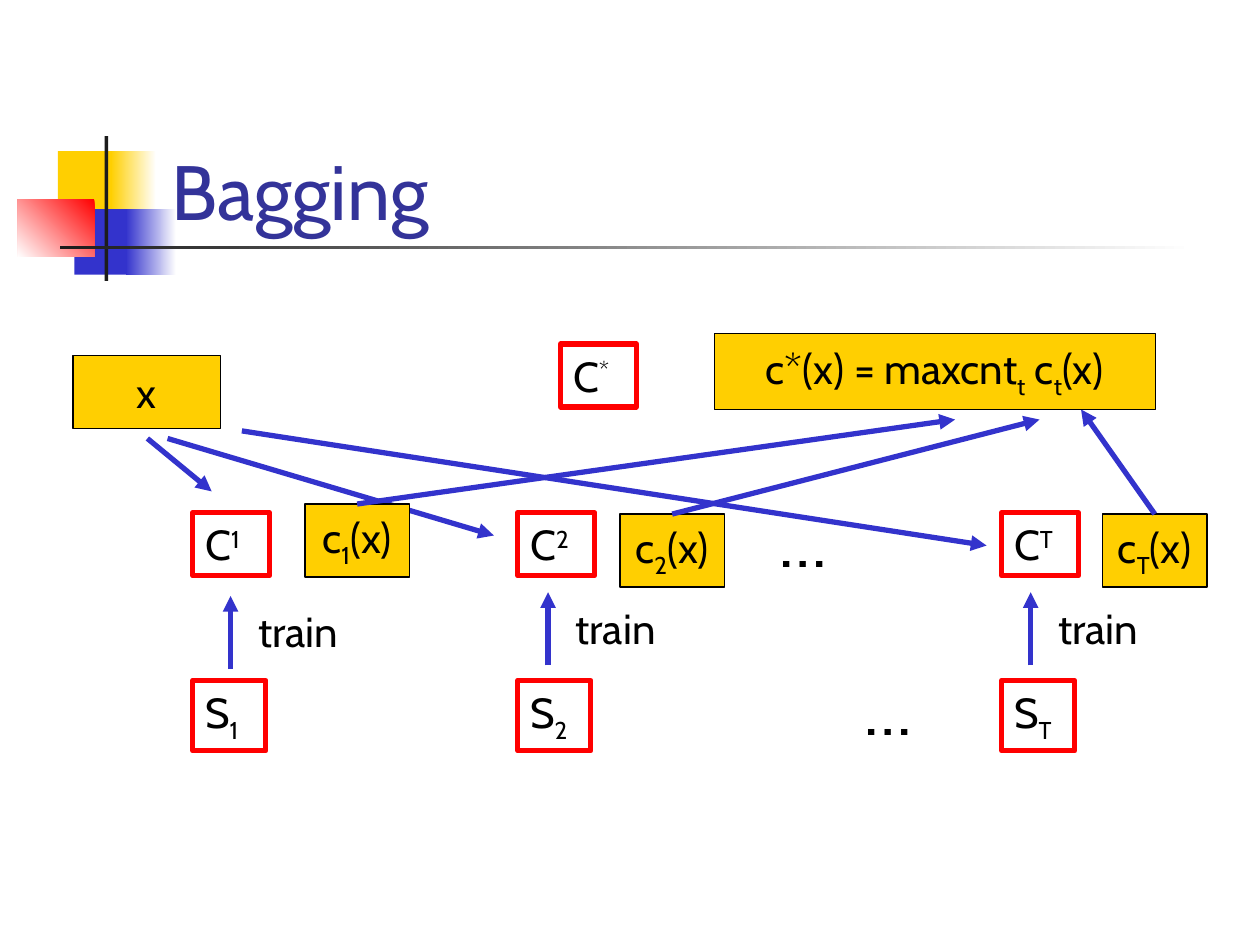
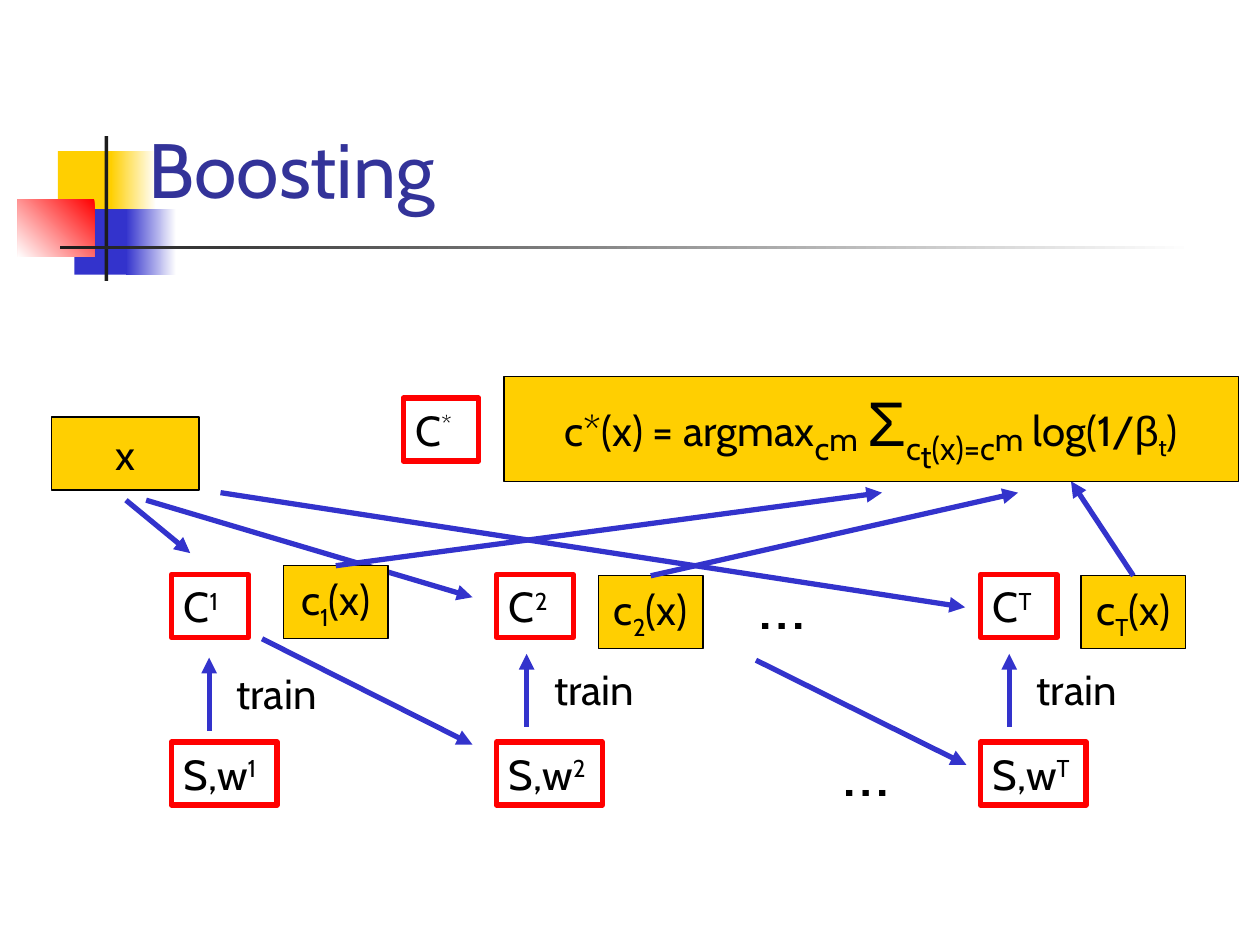
from pptx import Presentation
from pptx.dml.color import RGBColor
from pptx.enum.shapes import MSO_CONNECTOR, MSO_SHAPE
from pptx.enum.text import MSO_ANCHOR, MSO_AUTO_SIZE, PP_ALIGN
from pptx.oxml.ns import qn
from pptx.util import Inches, Pt
from lxml.etree import SubElement

WHITE = RGBColor(0xFF, 0xFF, 0xFF)
BLACK = RGBColor(0, 0, 0)
YELLOW = RGBColor(0xFF, 0xCF, 0x01)
BLUE = RGBColor(0x33, 0x33, 0xCC)
RED = RGBColor(0xFF, 0, 0)
DARK = RGBColor(0x1C, 0x1C, 0x1C)
TITLE = RGBColor(0x33, 0x33, 0x99)

FONT, SYMBOL_FONT = "Cabin", "Arial"
SUP, SUB = 30, -25

BAND = [
    ((0.46, 1.2, 0.48, 0.52), (YELLOW,), 0),
    ((0.88, 1.2, 0.36, 0.52), (WHITE, YELLOW), 180),
    ((0.59, 1.66, 0.46, 0.52), (BLUE,), 0),
    ((1, 1.66, 0.4, 0.52), (WHITE, BLUE), 180),
    ((0.14, 1.58, 0.61, 0.46), (RED, WHITE), 225),
    ((0.83, 1.08, 0.03, 1.15), (DARK,), 0),
    ((0.48, 1.95, 9, 0.03), (WHITE, DARK), 180),
]

ROUNDS = [
    dict(name="1", model_x=1.53, train_x=1.83, train_y=4.73, vote=(2.42, 4)),
    dict(name="2", model_x=4.11, train_x=4.35, train_y=4.7, vote=(4.92, 4.08)),
    dict(name="T", model_x=7.95, train_x=8.18, train_y=4.7, vote=(8.75, 4.08)),
]
INPUT_ARROWS = [
    ((1.17, 3.48), (1.68, 3.9)),
    ((1.33, 3.48), (3.92, 4.25)),
    ((1.92, 3.42), (7.83, 4.33)),
]
DOTS = [(6.76, 5.23), (6.09, 3.9)]

SLIDES = [
    dict(
        title="Bagging", title_at=(1.26, 0.67), offset=(0, 0),
        sample=("S", SUB), sample_size=(0.58, 0.56),
        final_at=(4.45, 2.73), decision_at=(5.67, 2.65, 3.5, 0.6),
        decision=[("c*(x) = maxcnt",), ("t", SUB), (" c",), ("t", SUB), ("(x)",)],
        vote_ends=[(7.58, 3.33), (8.25, 3.33), (8.58, 3.25)],
        reweight=[],
    ),
    dict(
        title="Boosting", title_at=(1.08, 0.5), offset=(-0.17, 0.49),
        sample=("S,w", SUP), sample_size=(0.84, 0.5),
        final_at=(3.2, 3.16), decision_at=(4, 2.99, 5.83, 0.83),
        decision=[
            ("c*(x) = argmax",), ("c", SUB, 32), ("m", -10, 32), (" ",),
            ("Σ", 0, 36, SYMBOL_FONT), ("c", SUB, 32), ("t", -40, 32),
            ("(x)=c", SUB, 32), ("m", -10, 32), (" log(1/",),
            ("β", 0, 24, SYMBOL_FONT), ("t", SUB), (")",),
        ],
        vote_ends=[(7, 3.91), (8.08, 3.91), (8.5, 3.82)],
        reweight=[((2.08, 5.07), (3.75, 5.91)), ((6, 5.24), (7.67, 6.07))],
    ),
]


def add_run(p, text, baseline=0, size=24, font=FONT, color=BLACK):
    r = p.add_run()
    r.text = text
    r.font.size = Pt(size)
    r.font.name = font
    r.font.color.rgb = color
    if baseline:
        r.font._element.set("baseline", str(baseline * 1000))


def set_text(sp, runs, anchor=MSO_ANCHOR.TOP, align=PP_ALIGN.LEFT,
             wrap=False, grow=True):
    tf = sp.text_frame
    tf.word_wrap = wrap
    tf.auto_size = MSO_AUTO_SIZE.SHAPE_TO_FIT_TEXT if grow else MSO_AUTO_SIZE.NONE
    tf.vertical_anchor = anchor
    p = tf.paragraphs[0]
    p.alignment = align
    for run in runs:
        add_run(p, *run)


def add_rect(s, box, colors=(), angle=0, line=None, width=0.75):
    sp = s.shapes.add_shape(MSO_SHAPE.RECTANGLE, *map(Inches, box))
    sp.shadow.inherit = False
    if len(colors) == 2:
        sp.fill.gradient()
        sp.fill.gradient_angle = angle
        for stop, color in zip(sp.fill.gradient_stops, colors):
            stop.color.rgb = color
    elif colors:
        sp.fill.solid()
        sp.fill.fore_color.rgb = colors[0]
    else:
        sp.fill.background()
    if line is None:
        sp.line.fill.background()
    else:
        sp.line.color.rgb = line
        sp.line.width = Pt(width)
    return sp


def add_yellow_box(s, box, runs):
    sp = add_rect(s, box, (YELLOW,), line=BLACK)
    set_text(sp, runs, MSO_ANCHOR.MIDDLE, PP_ALIGN.CENTER, grow=False)
    return sp


def add_red_box(s, box, runs):
    set_text(add_rect(s, box, line=RED, width=3), runs)


def add_label(s, box, run, **options):
    set_text(s.shapes.add_textbox(*map(Inches, box)), [run], **options)


def add_arrow(s, start, end):
    cxn = s.shapes.add_connector(MSO_CONNECTOR.STRAIGHT, *map(Inches, start + end))
    cxn.line.color.rgb = BLUE
    cxn.line.width = Pt(3)
    SubElement(cxn.line._get_or_add_ln(), qn("a:tailEnd"), type="triangle")
    SubElement(cxn._element.spPr, qn("a:effectLst"))
    return cxn


def add_frame(s, title, at):
    for box, colors, angle in BAND:
        add_rect(s, box, colors, angle)
    add_label(s, (*at, 8.52, 1.25), (title, 0, 44, FONT, TITLE),
              anchor=MSO_ANCHOR.BOTTOM, wrap=True, grow=False)


def add_diagram(s, data):
    dx, dy = data["offset"]

    def moved(x, y):
        return x + dx, y + dy

    for at in DOTS:
        add_label(s, (*moved(*at), 0.64, 0.77), ("…", 0, 40))

    add_yellow_box(s, (*moved(0.58, 2.82), 1.17, 0.58), [("x",)])
    for start, end in INPUT_ARROWS:
        add_arrow(s, moved(*start), moved(*end))

    sample, baseline = data["sample"]
    for rnd, vote_end in zip(ROUNDS, data["vote_ends"]):
        name, x, y = rnd["name"], rnd["train_x"], rnd["train_y"]
        add_red_box(s, (*moved(rnd["model_x"], 4.07), 0.61, 0.5),
                    [("C",), (name, SUP)])
        add_arrow(s, moved(x, y + 0.58), moved(x, y))
        add_label(s, (*moved(x + 0.12, y + 0.03), 0.93, 0.5), ("train",))
        add_red_box(s, (*moved(rnd["model_x"], 5.4), *data["sample_size"]),
                    [(sample,), (name, baseline)])
        vote_at = moved(*rnd["vote"])
        vote = add_yellow_box(s, (*vote_at, 0.83, 0.58),
                              [("c",), (name, SUB), ("(x)",)])
        add_arrow(s, vote_at, vote_end).begin_connect(vote, 0)

    for start, end in data["reweight"]:
        add_arrow(s, start, end)
    add_red_box(s, (*data["final_at"], 0.6, 0.5), [("C",), ("*", SUP)])
    add_yellow_box(s, data["decision_at"], data["decision"])


def main():
    prs = Presentation()
    prs.slide_width, prs.slide_height = Inches(10), Inches(7.5)
    for data in SLIDES:
        s = prs.slides.add_slide(prs.slide_layouts[6])
        add_frame(s, data["title"], data["title_at"])
        add_diagram(s, data)
    prs.save("out.pptx")


if __name__ == "__main__":
    main()
